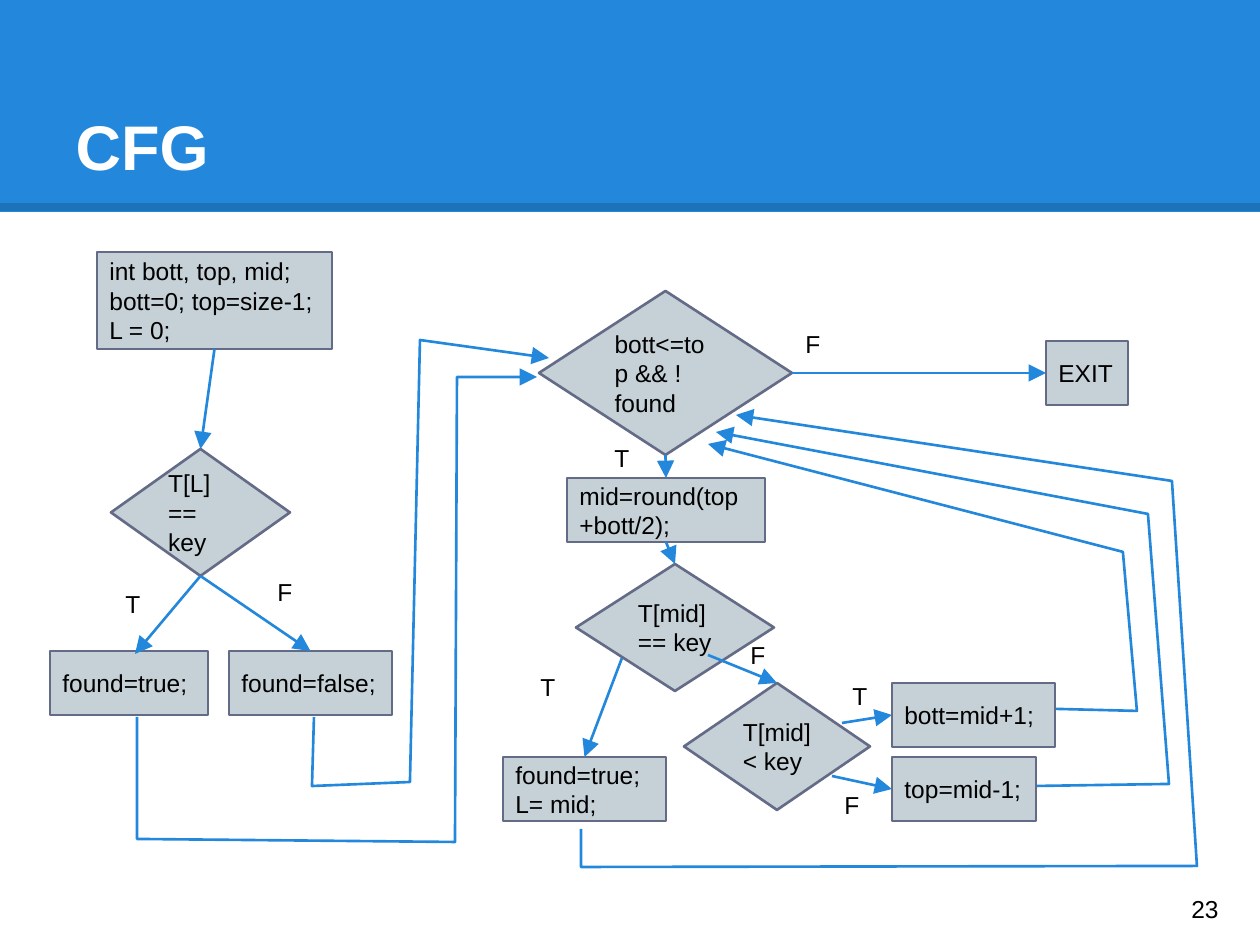
from dataclasses import dataclass

from lxml import etree
from pptx import Presentation
from pptx import util as u
from pptx.dml.color import RGBColor
from pptx.enum import shapes, text
from pptx.oxml.ns import qn

SCALE = 914400 / 126  # EMU in one px
RECT, DIAMOND = shapes.MSO_SHAPE.RECTANGLE, shapes.MSO_SHAPE.DIAMOND
TOP, LEFT, BOTTOM, RIGHT = range(4)


@dataclass(frozen=True)
class Theme:
    font: str = "Arial"
    title_size: int = 36
    body_size: int = 14
    blue: str = "2388DB"
    node_fill: str = "C5D1D7"
    node_line: str = "646B86"
    black: str = "000000"
    white: str = "FFFFFF"
    stroke: float = 1.5
    rule: float = 4.5
    margin: int = u.Inches(0.1)


THEME = Theme()


def px(*values):
    return [u.Emu(round(v * SCALE)) for v in values]


def rgb(value):
    return RGBColor.from_string(value)


def put_text(sp, content, size=THEME.body_size, color=THEME.black, bold=False,
             anchor=text.MSO_ANCHOR.MIDDLE):
    tf = sp.text_frame
    tf.word_wrap = True
    tf.auto_size = text.MSO_AUTO_SIZE.NONE
    tf.vertical_anchor = anchor
    tf.margin_left = tf.margin_right = tf.margin_top = tf.margin_bottom = THEME.margin
    tf.text = content
    for p in tf.paragraphs:
        p.alignment = text.PP_ALIGN.LEFT
        p.font.name, p.font.size, p.font.bold = THEME.font, u.Pt(size), bold
        p.font.color.rgb = rgb(color)


def set_line(sp, color, width=THEME.stroke):
    sp.line.color.rgb = rgb(color)
    sp.line.width = u.Pt(width)


def add_arrowhead(sp):
    etree.SubElement(sp.line._get_or_add_ln(), qn("a:tailEnd"),
                     type="triangle", w="lg", len="lg")


def add_node(s, box, kind, x, y, w, h, content):
    sp = s.shapes.add_shape(kind, *px(box[0] + x, box[1] + y, w, h))
    sp.shadow.inherit = False
    sp.fill.solid()
    sp.fill.fore_color.rgb = rgb(THEME.node_fill)
    set_line(sp, THEME.node_line)
    put_text(sp, content)
    return sp


def add_label(s, box, x, y, content, w=43, h=58, anchor=text.MSO_ANCHOR.TOP):
    sp = s.shapes.add_textbox(*px(box[0] + x, box[1] + y, w, h))
    put_text(sp, content, anchor=anchor)


def add_straight(s, start, end):
    c = s.shapes.add_connector(shapes.MSO_CONNECTOR.STRAIGHT, *px(*start, *end))
    etree.SubElement(c.element.spPr, qn("a:effectLst"))
    return c


def add_edge(s, box, start, end):
    """Join two ends, each a (node, side) pair or an (x, y) point in the box."""
    def point(e):
        return (box[0] + e[0], box[1] + e[1]) if isinstance(e[0], int) else (0, 0)

    c = add_straight(s, point(start), point(end))
    for e, connect in ((start, c.begin_connect), (end, c.end_connect)):
        if not isinstance(e[0], int):
            connect(*e)
    set_line(c, THEME.blue)
    add_arrowhead(c)


def add_route(s, box, points):
    (x, y), *rest = [(box[0] + x, box[1] + y) for x, y in points]
    fb = s.shapes.build_freeform(x, y, scale=SCALE)
    fb.add_line_segments(rest, close=False)
    sp = fb.convert_to_shape()
    sp.shadow.inherit = False
    sp.fill.background()
    set_line(sp, THEME.blue)
    add_arrowhead(sp)


def header(s, box, content):
    x, y, w, h = box
    bar = s.shapes.add_shape(RECT, *px(*box))
    bar.shadow.inherit = False
    bar.fill.solid()
    bar.fill.fore_color.rgb = rgb(THEME.blue)
    bar.line.fill.background()

    rule = add_straight(s, (x, y + h - 5), (x + w, y + h - 5))
    set_line(rule, THEME.black, THEME.rule)
    color = rule.line._get_or_add_ln().find(".//" + qn("a:srgbClr"))
    etree.SubElement(color, qn("a:alpha"), val="15000")

    title = s.shapes.title
    title.left, title.top, title.width, title.height = px(x + 63, y + 38, w - 126, 158)
    put_text(title, content, THEME.title_size, THEME.white, True, text.MSO_ANCHOR.BOTTOM)
    rule.element.addnext(title.element)  # in front of the bar


def back_routes(s, box):
    """Bent arrows that lead from the branch ends to the loop test."""
    for points in (
        [(7, 427), (7, 549), (325, 552), (327, 87), (407, 87)],
        [(184, 427), (182, 496), (280, 492), (290, 50), (419, 68)],
        [(451, 539), (451, 577), (1067, 576), (1042, 191), (606, 125)],
        [(906, 496), (1039, 494), (1018, 224), (586, 142)],
        [(926, 419), (1007, 421), (993, 262), (578, 154)],
    ):
        add_route(s, box, points)


def first_test(s, box):
    init = add_node(s, box, RECT, 47, 2, 235, 97,
                    "int bott, top, mid;\nbott=0; top=size-1;\nL = 0;")
    test = add_node(s, box, DIAMOND, 61, 199, 179, 127, "T[L] == key")
    no = add_node(s, box, RECT, 179, 401, 163, 64, "found=false;")
    add_node(s, box, RECT, 0, 401, 158, 64, "found=true;")
    add_label(s, box, 215, 314, "F")
    add_label(s, box, 63, 326, "T")
    add_edge(s, box, (init, BOTTOM), (test, TOP))
    add_edge(s, box, (test, BOTTOM), (85, 404))
    add_edge(s, box, (test, BOTTOM), (no, TOP))


def search_loop(s, box):
    loop = add_node(s, box, DIAMOND, 39, 1, 253, 164, "bott<=top && !found")
    leave = add_node(s, box, RECT, 546, 51, 82, 64, "EXIT")
    middle = add_node(s, box, RECT, 67, 188, 198, 64, "mid=round(top+bott/2);")
    equal = add_node(s, box, DIAMOND, 76, 274, 198, 127, "T[mid] == key")
    found = add_node(s, box, RECT, 3, 467, 163, 64, "found=true;\nL= mid;")
    less = add_node(s, box, DIAMOND, 184, 393, 186, 127, "T[mid] < key")
    raise_bott = add_node(s, box, RECT, 392, 393, 163, 64, "bott=mid+1;")
    lower_top = add_node(s, box, RECT, 392, 467, 144, 64, "top=mid-1;")
    for x, y, content in ((293, 26, "F"), (102, 140, "T"), (28, 369, "T"),
                          (238, 337, "F"), (340, 378, "T"), (332, 487, "F")):
        add_label(s, box, x, y, content)
    for start, end in (
        ((loop, RIGHT), (leave, LEFT)),
        ((loop, BOTTOM), (middle, TOP)),
        ((middle, BOTTOM), (equal, TOP)),
        ((122, 368), (found, TOP)),
        ((208, 365), (less, TOP)),
        ((342, 433), (raise_bott, LEFT)),
        ((332, 486), (lower_top, LEFT)),
    ):
        add_edge(s, box, start, end)


def main():
    prs = Presentation()
    prs.slide_width, prs.slide_height = px(1260, 945)
    s = prs.slides.add_slide(prs.slide_layouts[5])
    header(s, (0, 0, 1260, 212), "CFG")
    back_routes(s, (130, 290))
    first_test(s, (50, 250))
    search_loop(s, (500, 290))
    add_label(s, (1179, 873), 0, 0, "23", 76, 72, text.MSO_ANCHOR.MIDDLE)
    prs.save("out.pptx")


if __name__ == "__main__":
    main()
